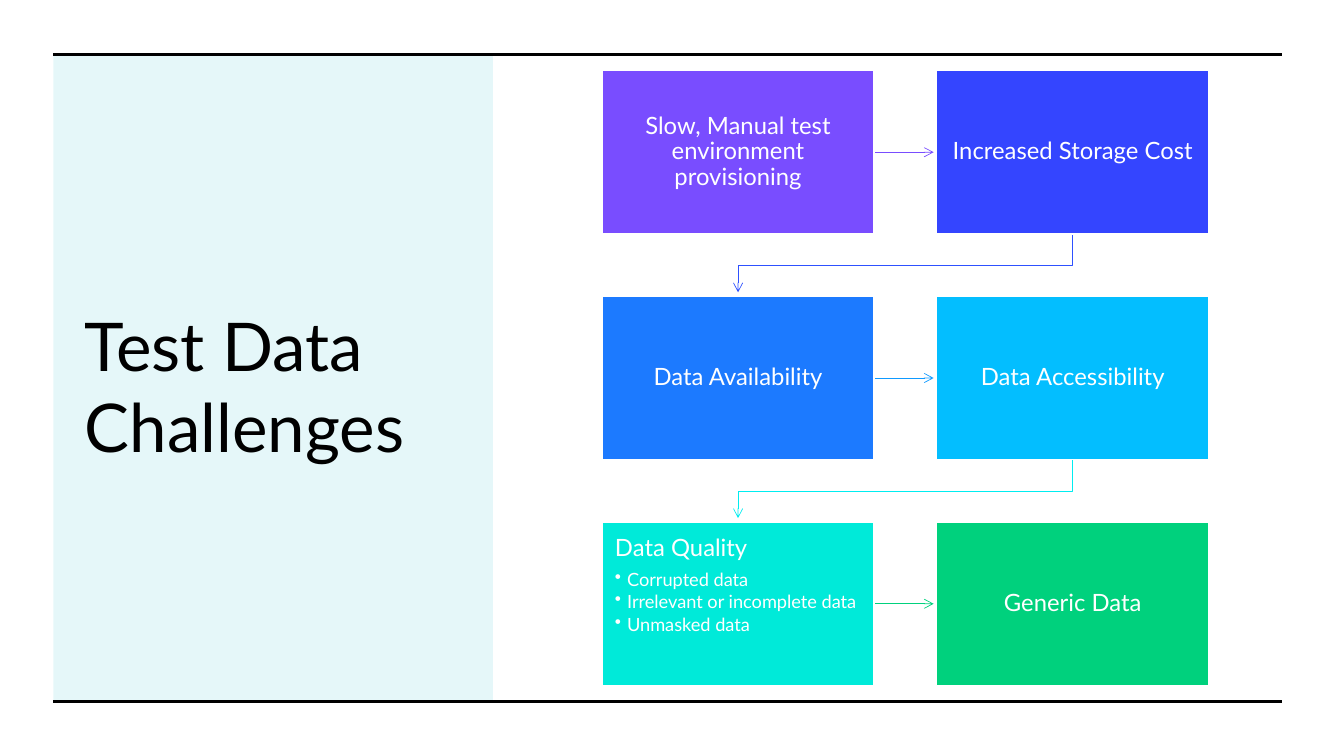
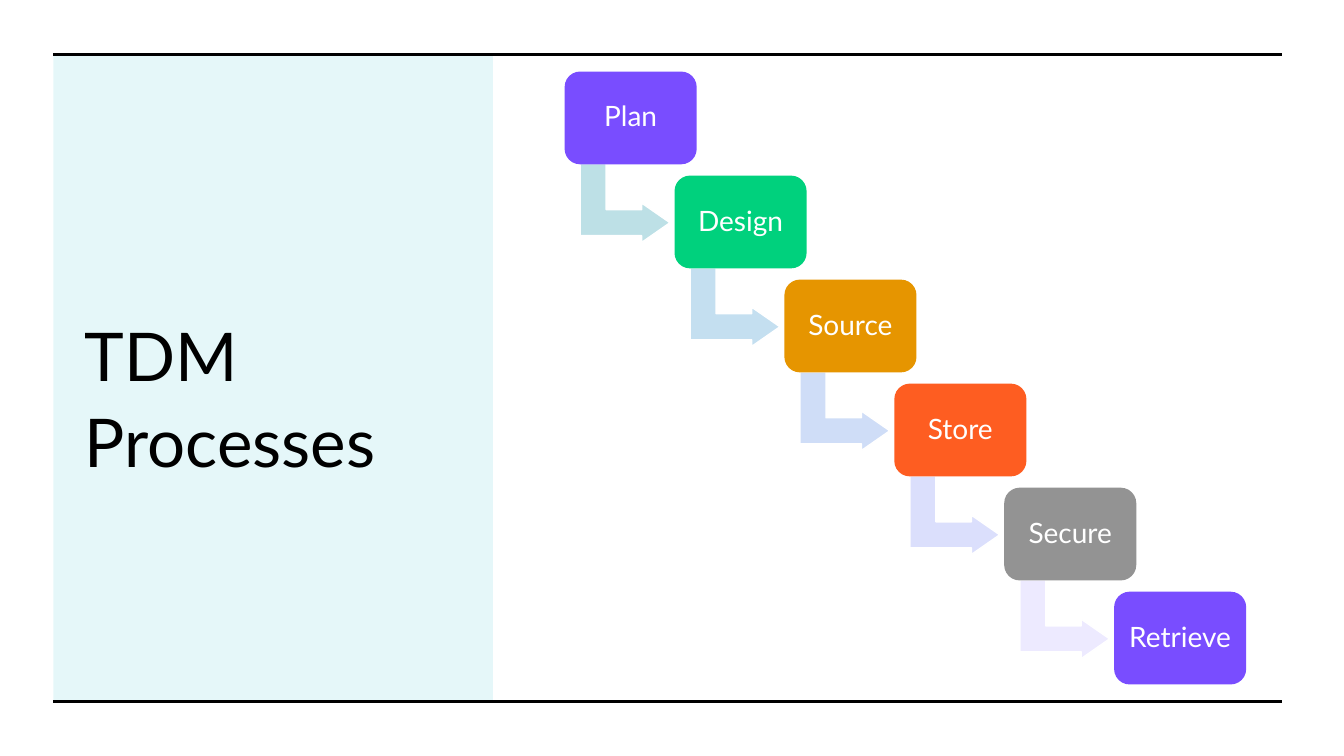
from lxml.etree import SubElement
from pptx import Presentation
from pptx.dml.color import RGBColor
from pptx.enum.shapes import MSO_CONNECTOR as LINE, MSO_SHAPE as SHAPE
from pptx.enum.text import MSO_ANCHOR as ANCHOR, MSO_AUTO_SIZE as AUTO, PP_ALIGN as ALIGN
from pptx.oxml.ns import qn
from pptx.util import Inches, Pt

FONT = "Lato"
BLACK, WHITE, TEAL = "000000", "FFFFFF", "00BAC8"
PANEL_LEFT, PANEL_TOP, PANEL_WIDTH, PANEL_HEIGHT = 0.53, 0.54, 4.36, 6.41
RULE_RIGHT, RULE_YS = 12.72, (0.54, 6.96)

# Content: heading, bullets, fill, colour of the arrow to the next box
CHALLENGES = [
    ("Slow, Manual test environment provisioning", [], "794DFF", "794DFF"),
    ("Increased Storage Cost", [], "3445FF", "2E51FF"),
    ("Data Availability", [], "1C7AFF", "0F9AFF"),
    ("Data Accessibility", [], "03BEFF", "00EDF0"),
    ("Data Quality",
     ["Corrupted data", "Irrelevant or incomplete data", "Unmasked data"],
     "00EAD9", "00D17D"),
    ("Generic Data", [], "00D17D", None),
]
# Content: step, fill, colour of the arrow to the next step
PROCESSES = [
    ("Plan", "794DFF", "BDE0E6"),
    ("Design", "00D17D", "C4DFF0"),
    ("Source", "E69500", "CFDDF7"),
    ("Store", "FE5D21", "DBDFFC"),
    ("Secure", "939393", "EDEAFF"),
    ("Retrieve", "794DFF", None),
]


def rgb(code):
    return RGBColor.from_string(code)


def set_line(line, color, width):
    line.color.rgb = rgb(color)
    line.width = Pt(width)


def set_font(font, size, color):
    font.name, font.size = FONT, Pt(size)
    font.color.rgb = rgb(color)


def add_block(slide, kind, left, top, width, height, fill, outline=None):
    block = slide.shapes.add_shape(
        kind, Inches(left), Inches(top), Inches(width), Inches(height))
    block.shadow.inherit = False
    block.fill.solid()
    block.fill.fore_color.rgb = rgb(fill)
    if outline:
        set_line(block.line, outline, 1)
    else:
        block.line.fill.background()
    return block


def add_rule(slide, start, end, color, width):
    rule = slide.shapes.add_connector(
        LINE.STRAIGHT, *(Inches(v) for v in (*start, *end)))
    set_line(rule.line, color, width)
    SubElement(rule._element.spPr, qn("a:effectLst"))
    return rule


def add_arrowhead(arrow):
    SubElement(arrow.line._get_or_add_ln(), qn("a:tailEnd"), type="arrow")


def add_elbow(slide, points, color):
    start, *rest = [(Inches(x), Inches(y)) for x, y in points]
    builder = slide.shapes.build_freeform(*start)
    builder.add_line_segments(rest, close=False)
    elbow = builder.convert_to_shape()
    elbow.shadow.inherit = False
    elbow.fill.background()
    set_line(elbow.line, color, 0.5)
    return elbow


def write_box(box, heading, size, inset_x, inset_y, bullets=()):
    frame = box.text_frame
    frame.word_wrap = True
    frame.margin_left = frame.margin_right = Inches(inset_x)
    frame.margin_top = frame.margin_bottom = Inches(inset_y)
    frame.vertical_anchor = ANCHOR.TOP if bullets else ANCHOR.MIDDLE
    first = frame.paragraphs[0]
    first.text = heading
    first.alignment = ALIGN.LEFT if bullets else ALIGN.CENTER
    first.line_spacing, first.space_after = 0.9, Pt(0.35 * size)
    set_font(first.font, size, WHITE)
    for text in bullets:
        item = frame.add_paragraph()
        item.text, item.level, item.alignment = text, 1, ALIGN.LEFT
        item.line_spacing, item.space_after = 0.9, Pt(2)
        set_font(item.font, 13, WHITE)
        props = item._p.get_or_add_pPr()
        props.set("marL", str(Inches(0.12)))
        props.set("indent", str(-Inches(0.12)))
        SubElement(props, qn("a:buChar"), char="•")
        # The bullet must come before the default run properties
        props.append(props.find(qn("a:defRPr")))


def start_slide(deck, title_runs, title_width):
    """Tinted title panel between two black rules."""
    slide = deck.slides.add_slide(deck.slide_layouts[5])
    title = slide.shapes.title
    panel = add_block(slide, SHAPE.RECTANGLE, PANEL_LEFT, PANEL_TOP,
                      PANEL_WIDTH, PANEL_HEIGHT, TEAL)
    tint = panel._element.spPr.find(qn("a:solidFill"))[0]
    SubElement(tint, qn("a:alpha"), val="10000")
    title._element.addprevious(panel._element)

    title.left, title.top = Inches(0.74), Inches(1.07)
    title.width, title.height = Inches(title_width), Inches(5.5)
    frame = title.text_frame
    frame.word_wrap, frame.auto_size = True, AUTO.NONE
    frame.vertical_anchor = ANCHOR.MIDDLE
    heading = frame.paragraphs[0]
    heading.alignment = ALIGN.LEFT
    for text, size in title_runs:
        run = heading.add_run()
        run.text = text
        set_font(run.font, size, BLACK)
    for y in RULE_YS:
        add_rule(slide, (PANEL_LEFT, y), (RULE_RIGHT, y), BLACK, 2.25)
    return slide


def build_challenges(deck):
    slide = start_slide(deck, [("Test Data Challenges", 48)], 3.89)
    left, top, width, height = 5.97, 0.7, 2.7, 1.62
    step_x, step_y = 3.32, 2.24
    for index, (heading, bullets, fill, arrow_color) in enumerate(CHALLENGES):
        row, column = divmod(index, 2)
        x, y = left + column * step_x, top + row * step_y
        if arrow_color and column == 0:
            middle = y + height / 2
            add_arrowhead(add_rule(slide, (x + width, middle),
                                   (x + width + 0.59, middle), arrow_color, 0.5))
        elif arrow_color:
            bottom, start_x, end_x = y + height, x + width / 2, left + width / 2
            add_arrowhead(add_elbow(slide, [
                (start_x, bottom), (start_x, bottom + 0.31),
                (end_x, bottom + 0.31), (end_x, bottom + 0.58)], arrow_color))
        box = add_block(slide, SHAPE.RECTANGLE, x, y, width, height, fill, WHITE)
        write_box(box, heading, 17, 0.13, 0.14, bullets)


def build_processes(deck):
    slide = start_slide(deck, [("TDM", 48), (" ", 66), ("Processes", 48)], 4.36)
    left, top, width, height = 5.6, 0.71, 1.31, 0.92
    step_x = 1.09
    step_y = (5.87 - top) / (len(PROCESSES) - 1)
    for index, (name, fill, arrow_color) in enumerate(PROCESSES):
        x, y = left + index * step_x, top + index * step_y
        if arrow_color:
            arrow = add_block(slide, SHAPE.BENT_UP_ARROW, x + 0.21, y + 0.86,
                              0.78, 0.89, arrow_color, WHITE)
            arrow.rotation = 90
            for number, value in enumerate((0.33, 0.25, 0.36)):
                arrow.adjustments[number] = value
        box = add_block(slide, SHAPE.ROUNDED_RECTANGLE, x, y, width, height, fill)
        write_box(box, name, 20, 0.08, 0.08)


def main():
    deck = Presentation()
    deck.slide_width, deck.slide_height = Inches(13.33), Inches(7.5)
    build_challenges(deck)
    build_processes(deck)
    deck.save("out.pptx")


if __name__ == "__main__":
    main()
